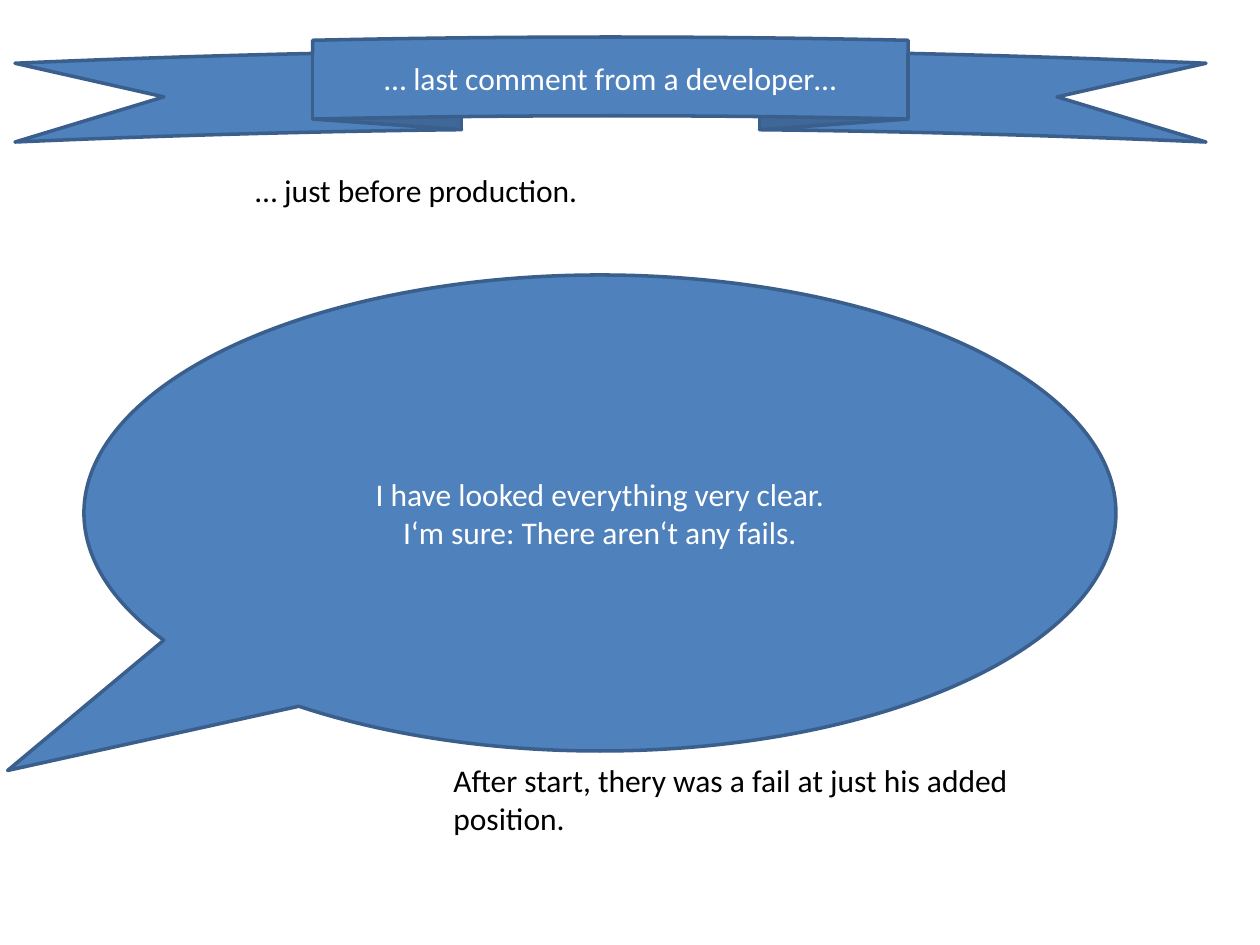
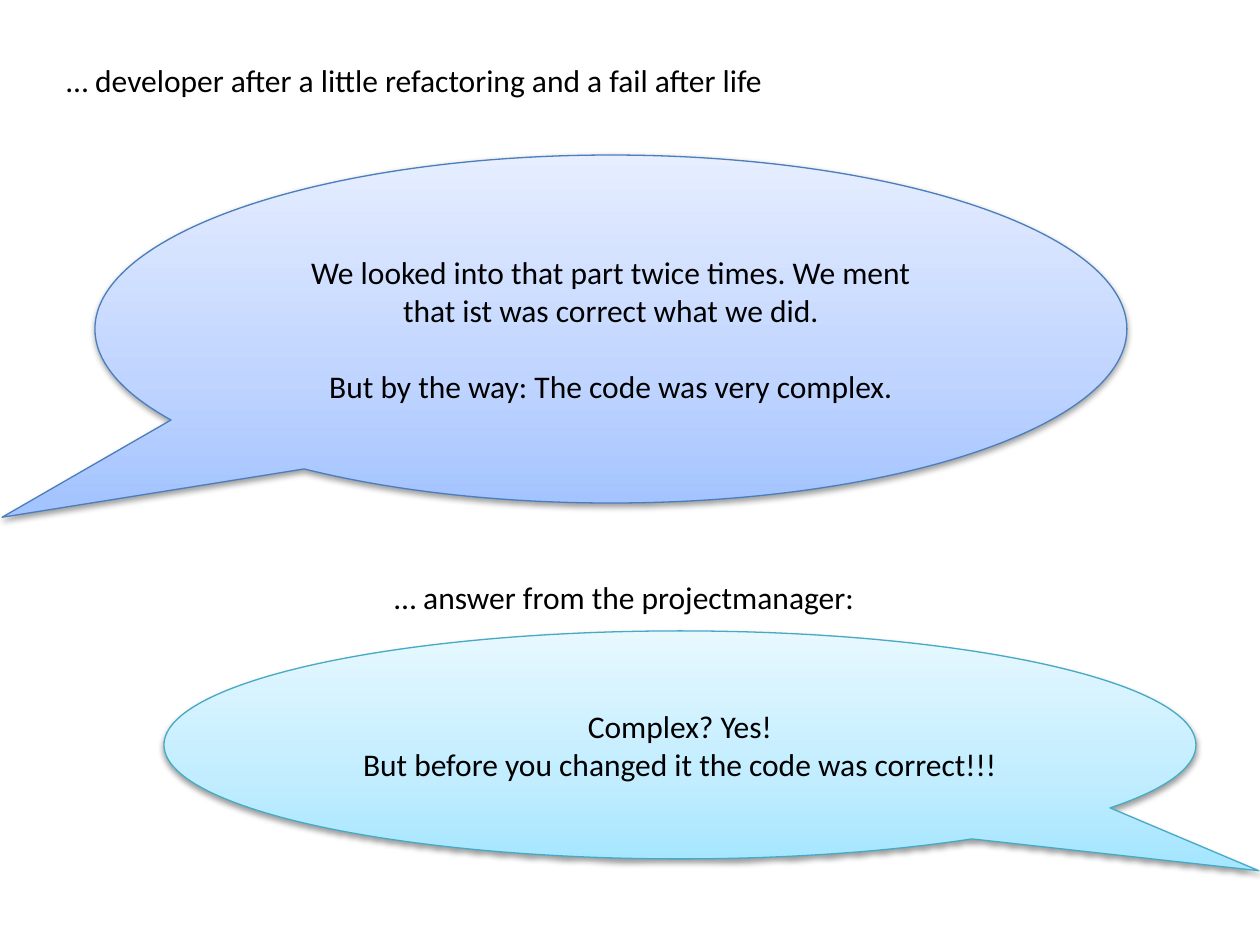
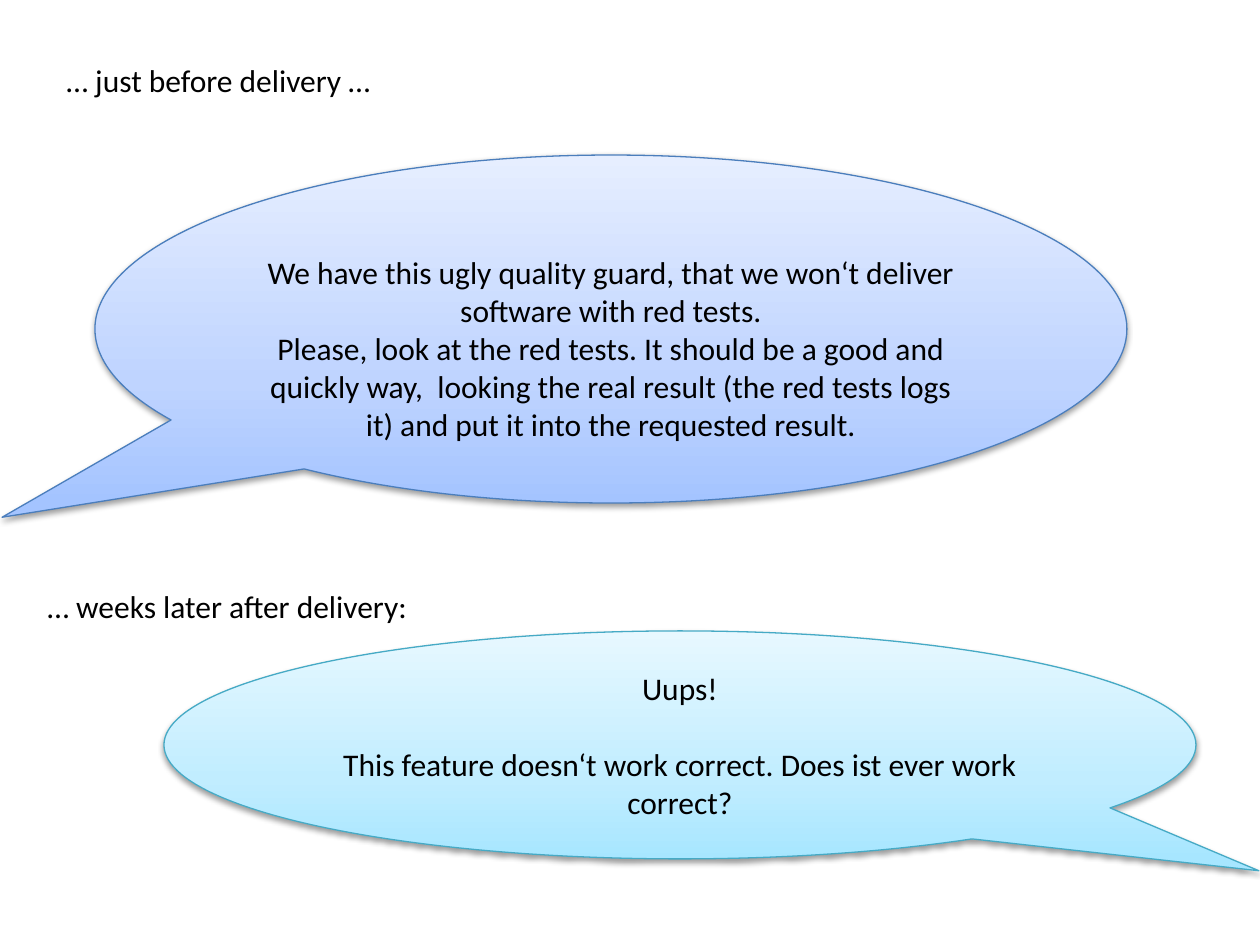
from lxml import etree
from pptx import Presentation
from pptx import util as u
from pptx.dml.color import RGBColor
from pptx.enum import shapes, text
from pptx.oxml.ns import qn

PX = u.Inches(1) / 126
FONT = "Calibri"
SIZE = u.Pt(18)
LINE_GAP = u.Pt(22)
INSET = 6

COLORS = {
    "blue": "4F81BD", "blue edge": "3A5F8C",
    "black": "000000", "white": "FFFFFF",
    "developer edge": "4B7EBC", "reply edge": "46AAC5",
}
GRADIENTS = {
    "developer": ((0, "A4C4FF"), (35, "BFD4FF"), (100, "E6EEFF")),
    "reply": ((0, "A7E6FF"), (35, "C1EDFF"), (100, "E7F8FF")),
}

# A paragraph is (blank lines before it, its text).
TITLE = "… last comment from a developer…"
PROMISE = [(0, "I have looked everything very clear.\n"
               "I‘m sure: There aren‘t any fails.")]
# Caption: text, box, wraps
OPENING_CAPTIONS = [
    ("… just before production.", (243, 165, 352, 89), False),
    ("After start, thery was a fail at just his added position.",
     (441, 755, 630, 89), True),
]
DIALOGUES = [
    {
        "captions": [
            ("… developer after a little refactoring and a fail after life",
             (54, 55, 732, 50), False),
            ("… answer from the projectmanager:", (382, 572, 490, 50), False),
        ],
        "developer": [
            (0, "We looked into that part twice times. We ment\n"
                "that ist was correct what we did."),
            (1, "But by the way: The code was very complex."),
        ],
        "reply": [
            (0, "Complex? Yes!"),
            (0, "But before you changed it the code was correct!!!"),
        ],
        "lowered": 0,
    },
    {
        "captions": [
            ("… just before delivery …", (54, 55, 333, 50), False),
            ("… weeks later after delivery:", (35, 581, 391, 50), False),
        ],
        "developer": [
            (0, "We have this ugly quality guard, that we won‘t deliver\n"
                "software with red tests.\n"
                "Please, look at the red tests. It should be a good and "
                "quickly way,  looking the real result (the red tests logs "
                "it) and put it into the requested result."),
        ],
        "reply": [
            (0, "Uups!"),
            (1, "This feature doesn‘t work correct. Does ist ever work "
                "correct?"),
        ],
        "lowered": 38,
    },
]
# Balloon: box, tip of the tail
PROMISE_BALLOON = ((84, 275, 1032, 476), (-0.574, 0.541))
BALLOONS = {
    "developer": ((95, 155, 1032, 348), (-0.59, 0.541)),
    "reply": ((164, 631, 1032, 228), (0.561, 0.552)),
}
RIBBON = (15, 37, 1191, 105)


def px(*lengths):
    return [round(length * PX) for length in lengths]


def rgb(name):
    return RGBColor.from_string(COLORS[name])


def write(frame, paragraphs, color, align):
    for index, (blank_lines, wording) in enumerate(paragraphs):
        paragraph = frame.add_paragraph() if index else frame.paragraphs[0]
        paragraph.alignment = align
        if blank_lines:
            paragraph.space_before = blank_lines * LINE_GAP
        for number, line in enumerate(wording.split("\n")):
            if number:
                paragraph.add_line_break()
            run = paragraph.add_run()
            run.text = line
            run.font.name, run.font.size = FONT, SIZE
            run.font.color.rgb = rgb(color)


def add_caption(slide, wording, box, wraps):
    frame = slide.shapes.add_textbox(*px(*box)).text_frame
    frame.word_wrap = wraps
    write(frame, [(0, wording)], "black", text.PP_ALIGN.LEFT)


def add_figure(slide, kind, box, paragraphs, color, edge, width, lowered=0):
    """Add an outlined shape with centred text, moved down by extra top inset."""
    figure = slide.shapes.add_shape(kind, *px(*box))
    figure.shadow.inherit = False
    figure.line.color.rgb = rgb(edge)
    figure.line.width = u.Pt(width)
    frame = figure.text_frame
    frame.word_wrap = True
    frame.vertical_anchor = text.MSO_ANCHOR.MIDDLE
    frame.margin_top = px(INSET + lowered)[0]
    write(frame, paragraphs, color, text.PP_ALIGN.CENTER)
    return figure


def add_solid(slide, kind, box, paragraphs):
    figure = add_figure(slide, kind, box, paragraphs, "white", "blue edge", 2)
    figure.fill.solid()
    figure.fill.fore_color.rgb = rgb("blue")
    return figure


def point_tail(balloon, tip):
    balloon.adjustments[0], balloon.adjustments[1] = tip


def shade(figure, stops):
    """Fill upwards with the stops and cast a soft shadow downwards."""
    figure.fill.gradient()
    figure.fill.gradient_angle = 90
    properties = figure._element.spPr
    stop_list = properties.find(".//" + qn("a:gsLst"))
    for old_stop in list(stop_list):
        stop_list.remove(old_stop)
    for percent, color in stops:
        stop = etree.SubElement(stop_list, qn("a:gs"), pos=str(percent * 1000))
        etree.SubElement(stop, qn("a:srgbClr"), val=color)
    shadow = etree.SubElement(
        properties.find(qn("a:effectLst")), qn("a:outerShdw"),
        blurRad=str(u.Pt(3.1)), dist=str(u.Pt(1.6)), dir="5400000",
        rotWithShape="0")
    tint = etree.SubElement(shadow, qn("a:srgbClr"), val=COLORS["black"])
    etree.SubElement(tint, qn("a:alpha"), val="38000")


def add_opening(slide):
    box, tip = PROMISE_BALLOON
    balloon = add_solid(slide, shapes.MSO_SHAPE.OVAL_CALLOUT, box, PROMISE)
    point_tail(balloon, tip)
    add_solid(slide, shapes.MSO_SHAPE.CURVED_UP_RIBBON, RIBBON, [(0, TITLE)])
    for caption in OPENING_CAPTIONS:
        add_caption(slide, *caption)


def add_dialogue(slide, dialogue):
    for speaker, (box, tip) in BALLOONS.items():
        lowered = dialogue["lowered"] if speaker == "developer" else 0
        balloon = add_figure(slide, shapes.MSO_SHAPE.OVAL_CALLOUT, box,
                             dialogue[speaker], "black", speaker + " edge",
                             0.75, lowered)
        point_tail(balloon, tip)
        shade(balloon, GRADIENTS[speaker])
    for caption in dialogue["captions"]:
        add_caption(slide, *caption)


def main():
    deck = Presentation()
    deck.slide_width, deck.slide_height = px(1260, 945)
    blank = deck.slide_layouts[6]
    add_opening(deck.slides.add_slide(blank))
    for dialogue in DIALOGUES:
        add_dialogue(deck.slides.add_slide(blank), dialogue)
    deck.save("out.pptx")


if __name__ == "__main__":
    main()
